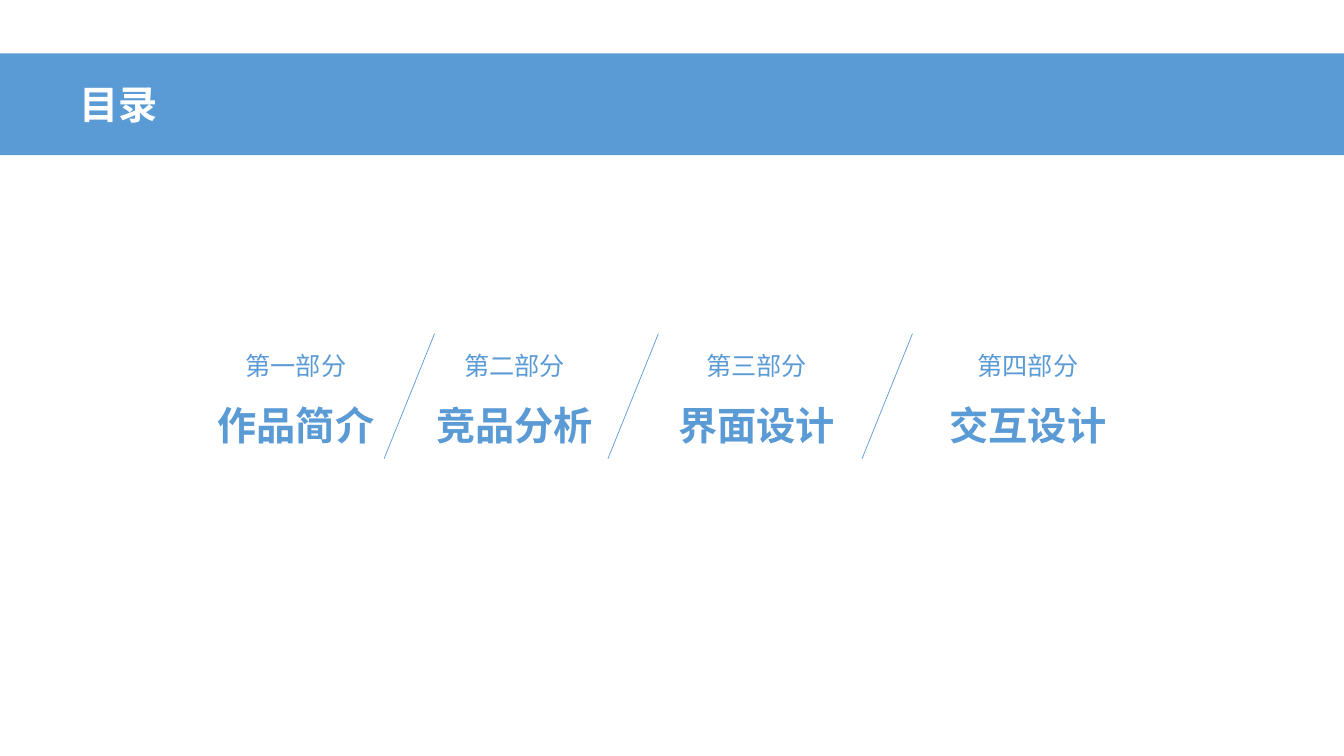
"""Build the contents slide: a title band and four parts split by slanted lines."""
from lxml import etree
from pptx import Presentation
from pptx.dml.color import RGBColor
from pptx.enum.shapes import MSO_CONNECTOR
from pptx.enum.text import MSO_ANCHOR, MSO_AUTO_SIZE, PP_ALIGN
from pptx.oxml.ns import qn
from pptx.util import Inches, Pt

STRAIGHT = MSO_CONNECTOR.STRAIGHT
MIDDLE = MSO_ANCHOR.MIDDLE
NO_FIT, GROW = MSO_AUTO_SIZE.NONE, MSO_AUTO_SIZE.SHAPE_TO_FIT_TEXT
LEFT, CENTER = PP_ALIGN.LEFT, PP_ALIGN.CENTER
FONT = "Noto Sans CJK SC"
COLORS = {"blue": "5B9BD5", "white": "FFFFFF"}


def write(frame, text, size, color, bold, align):
    """Fill a text frame with one formatted line."""
    frame.text = text
    paragraph = frame.paragraphs[0]
    paragraph.alignment = align
    run = paragraph.runs[0]
    run.font.size = Pt(size)
    run.font.bold = bold
    run.font.name = FONT
    run.font.color.rgb = RGBColor.from_string(COLORS[color])
    east_asian = etree.SubElement(run.font._element, qn("a:ea"))
    east_asian.set("typeface", FONT)


def add_label(shapes, text, left, top, width, height, size, bold):
    """Add a centred blue line of text that does not wrap."""
    box = shapes.add_textbox(Inches(left), Inches(top), Inches(width), Inches(height))
    box.text_frame.word_wrap = False
    box.text_frame.auto_size = GROW
    write(box.text_frame, text, size, "blue", bold, CENTER)


prs = Presentation()
prs.slide_width, prs.slide_height = Inches(13.33), Inches(7.5)
slide = prs.slides.add_slide(prs.slide_layouts[5])

band = slide.shapes.title
band.left, band.top = Inches(0), Inches(0.53)
band.width, band.height = prs.slide_width, Inches(1.01)
band.fill.solid()
band.fill.fore_color.rgb = RGBColor.from_string(COLORS["blue"])
band.text_frame.auto_size = NO_FIT
band.text_frame.vertical_anchor = MIDDLE
band.text_frame.margin_left = Inches(0.79)
write(band.text_frame, "目录", 28, "white", True, LEFT)

contents = slide.shapes.add_group_shape().shapes
parts = [
    ("第一部分", "作品简介", 2.05),
    ("第二部分", "竞品分析", 4.22),
    ("第三部分", "界面设计", 6.62),
    ("第四部分", "交互设计", 9.31),
]
for number, topic, left in parts:
    add_label(contents, number, left + 0.28, 3.43, 1.21, 0.4, 18, False)
    add_label(contents, topic, left, 3.93, 1.77, 0.57, 28, True)

for divider_left in (3.81, 6.03, 8.55):
    divider = contents.add_connector(
        STRAIGHT, Inches(divider_left + 0.5), Inches(3.31), Inches(divider_left), Inches(4.55)
    )
    divider.line.color.rgb = RGBColor.from_string(COLORS["blue"])
    divider.line.width = Pt(0.5)
    etree.SubElement(divider._element.spPr, qn("a:effectLst"))

prs.save("out.pptx")
